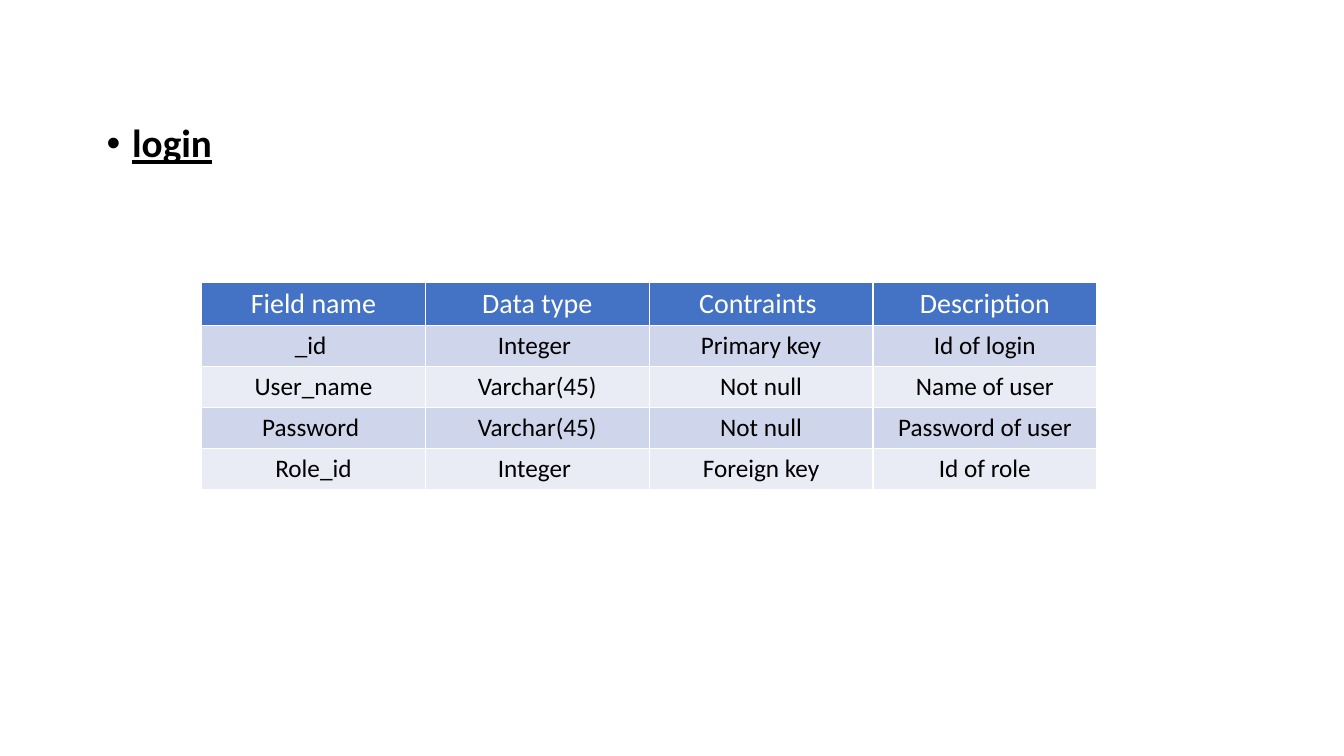
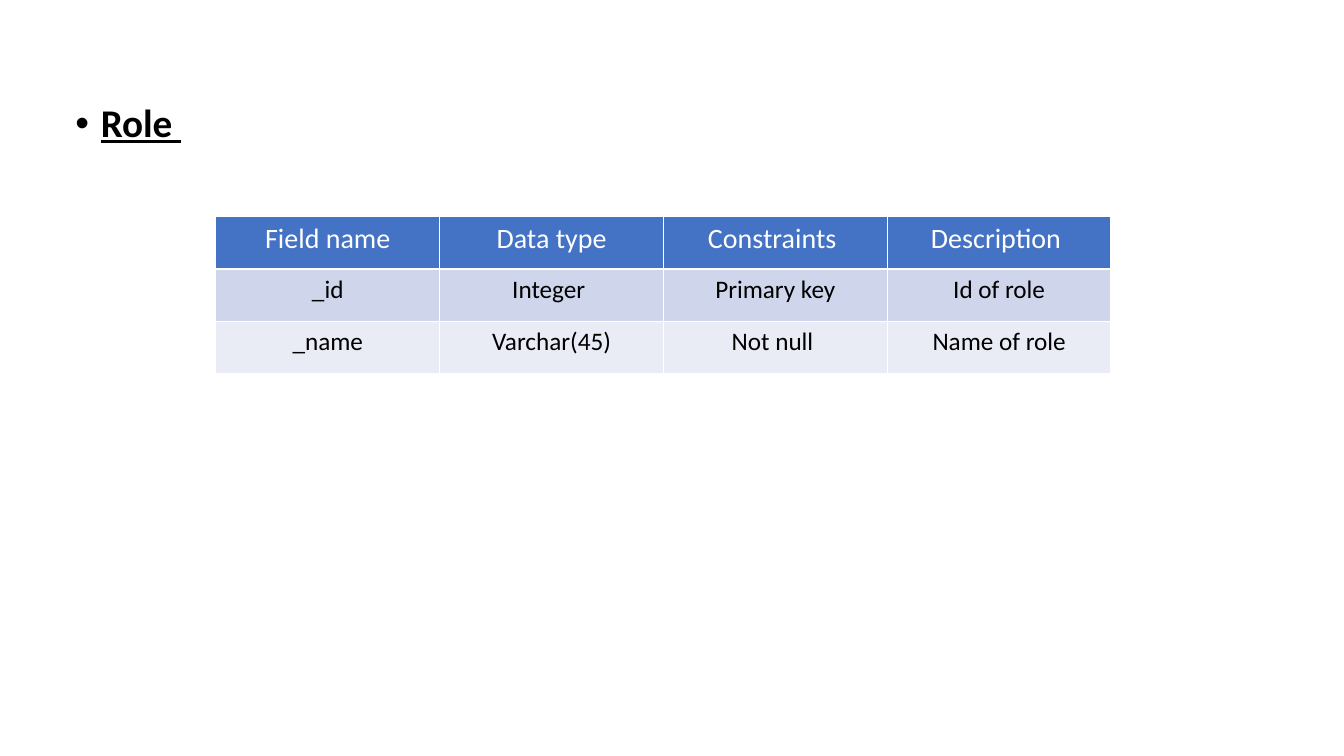
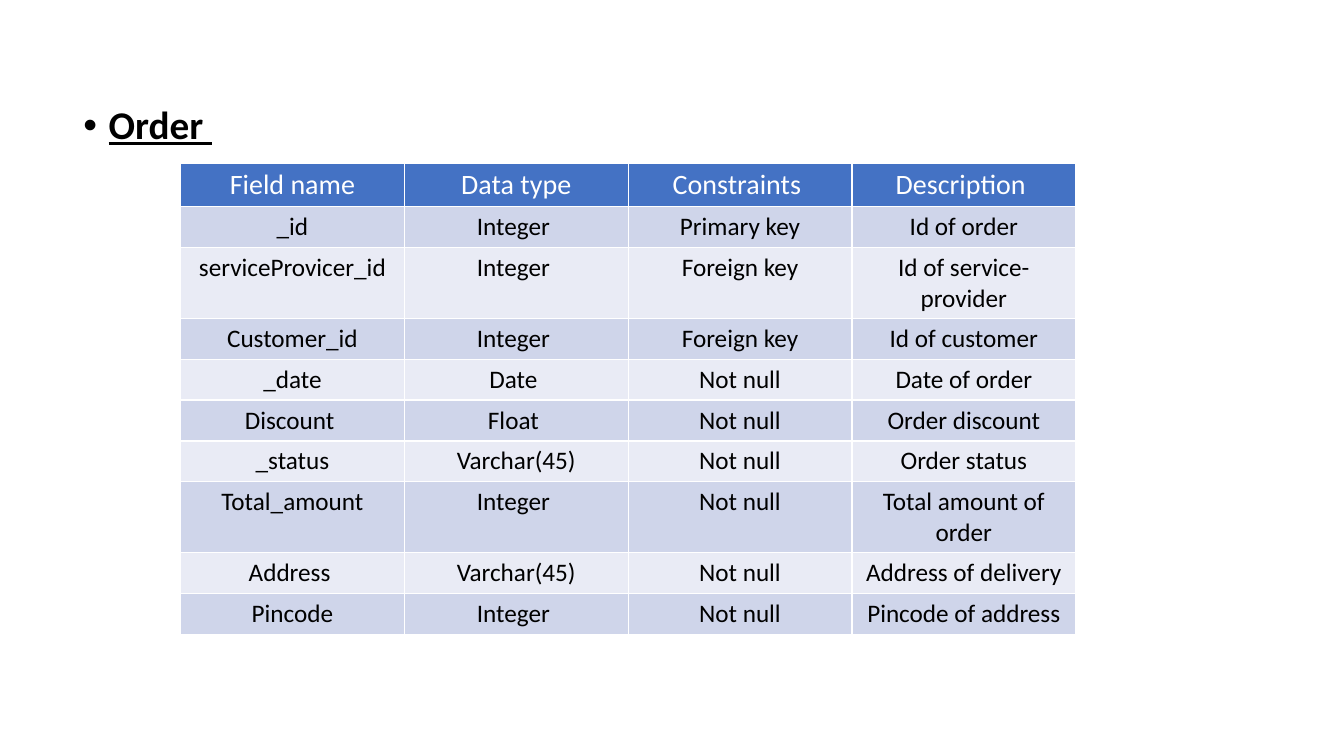
import dataclasses

import pptx
import pptx.dml.color
import pptx.enum.text
import pptx.oxml
import pptx.oxml.ns
import pptx.util
from pptx.util import Cm


@dataclasses.dataclass(frozen=True)
class Theme:
    font: str = "Calibri"
    title_size: int = 28
    head_size: int = 20
    body_size: int = 18
    black: str = "000000"
    white: str = "FFFFFF"
    head_fill: str = "4472C4"
    bands: tuple = ("CFD5EA", "E9EBF5")
    border_pt: int = 1


theme = Theme()
NS = pptx.oxml.ns.nsdecls("a")


def style_font(p, size, color):
    p.font.name = theme.font
    p.font.size = pptx.util.Pt(size)
    p.font.color.rgb = pptx.dml.color.RGBColor.from_string(color)


def style_cell(cell, text, fill, size, color):
    # Borders come before the fill in the cell properties
    tc_pr = cell._tc.get_or_add_tcPr()
    for side in "LRTB":
        tc_pr.append(pptx.oxml.parse_xml(
            f'<a:ln{side} {NS} w="{pptx.util.Pt(theme.border_pt)}"><a:solidFill>'
            f'<a:srgbClr val="{theme.white}"/></a:solidFill></a:ln{side}>'))
    cell.fill.solid()
    cell.fill.fore_color.rgb = pptx.dml.color.RGBColor.from_string(fill)
    p = cell.text_frame.paragraphs[0]
    p.text = text
    p.alignment = pptx.enum.text.PP_ALIGN.CENTER
    style_font(p, size, color)


# Content: title, title position, table position, row height, rows (all in cm)
slides = [
    ("login", (2.44, 3), (5.08, 7.11), 1.03, [
        ("Field name", "Data type", "Contraints ", "Description"),
        ("_id ", "Integer ", "Primary key", "Id of login"),
        ("User_name", "Varchar(45)", "Not null", "Name of user"),
        ("Password ", "Varchar(45)", "Not null", "Password of user"),
        ("Role_id", "Integer ", "Foreign key", "Id of role"),
    ]),
    ("Role ", (1.65, 2.49), (5.44, 5.46), 1.32, [
        ("Field name", "Data type", "Constraints ", "Description "),
        ("_id", "Integer ", "Primary key", "Id of role"),
        ("_name", "Varchar(45)", "Not null ", "Name of role"),
    ]),
    ("Order ", (1.85, 2.54), (4.55, 4.11), 1.03, [
        ("Field name", "Data type", "Constraints ", "Description "),
        ("_id", "Integer ", "Primary key", "Id of order"),
        ("serviceProvicer_id", "Integer ", "Foreign key", "Id of service-provider"),
        ("Customer_id", "Integer ", "Foreign key", "Id of customer"),
        ("_date", "Date ", "Not null", "Date of order"),
        ("Discount ", "Float ", "Not null", "Order discount"),
        ("_status", "Varchar(45)", "Not null", "Order status"),
        ("Total_amount", "Integer ", "Not null", "Total amount of order"),
        ("Address ", "Varchar(45)", "Not null", "Address of delivery"),
        ("Pincode", "Integer ", "Not null", "Pincode of address"),
    ]),
]
COL_WIDTH = 5.64

prs = pptx.Presentation()
prs.slide_width, prs.slide_height = Cm(33.87), Cm(19.05)

for title, (left, top), (table_left, table_top), row_height, rows in slides:
    s = prs.slides.add_slide(prs.slide_layouts[6])

    # Bulleted title
    tf = s.shapes.add_textbox(Cm(left), Cm(top), Cm(29.21), Cm(12.09)).text_frame
    tf.word_wrap = True
    p = tf.paragraphs[0]
    p.text = title
    p.line_spacing = 0.9
    p_pr = p._p.get_or_add_pPr()
    p_pr.set("marL", str(Cm(0.64)))
    p_pr.set("indent", str(-Cm(0.64)))
    p_pr.append(pptx.oxml.parse_xml(f'<a:buFont {NS} typeface="Arial"/>'))
    p_pr.append(pptx.oxml.parse_xml(f'<a:buChar {NS} char="•"/>'))
    style_font(p, theme.title_size, theme.black)
    p.font.bold = p.font.underline = True

    # Field table
    table = s.shapes.add_table(
        len(rows), len(rows[0]), Cm(table_left), Cm(table_top),
        Cm(COL_WIDTH * len(rows[0])), Cm(row_height * len(rows))).table
    table.first_row = table.horz_banding = False
    for column in table.columns:
        column.width = Cm(COL_WIDTH)
    for i, row in enumerate(rows):
        table.rows[i].height = Cm(row_height)
        if i == 0:
            look = theme.head_fill, theme.head_size, theme.white
        else:
            look = theme.bands[(i - 1) % 2], theme.body_size, theme.black
        for j, text in enumerate(row):
            style_cell(table.cell(i, j), text, *look)

prs.save("out.pptx")
